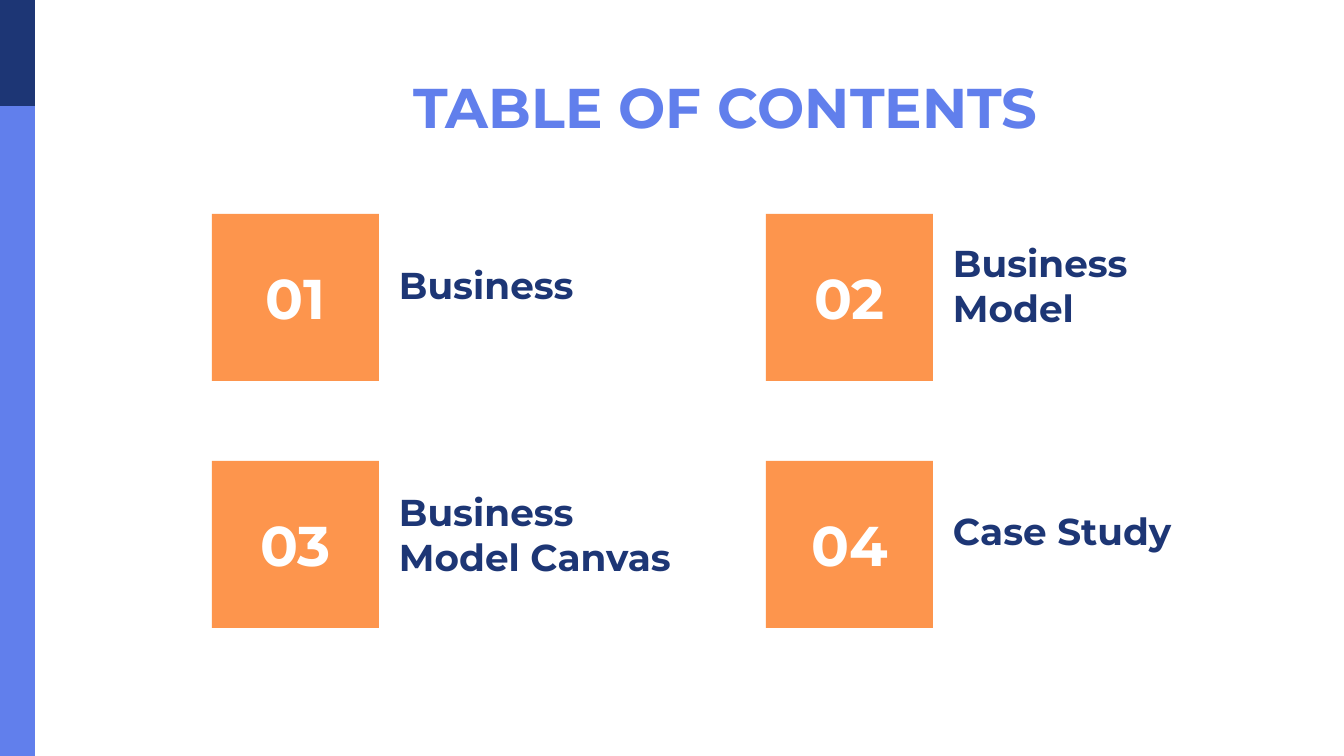
"""Build a table of contents slide with four numbered sections."""
from dataclasses import dataclass

from pptx import Presentation
from pptx.dml.color import RGBColor
from pptx.enum.shapes import MSO_SHAPE
from pptx.enum.text import MSO_ANCHOR, MSO_AUTO_SIZE, PP_ALIGN
from pptx.util import Emu, Pt

RECTANGLE = MSO_SHAPE.RECTANGLE
MIDDLE = MSO_ANCHOR.MIDDLE
NO_AUTOFIT = MSO_AUTO_SIZE.NONE
LEFT, CENTER = PP_ALIGN.LEFT, PP_ALIGN.CENTER
EMU_PER_PX = 914400 / 134.4


@dataclass(frozen=True)
class Theme:
    font: str = "Montserrat"
    blue: RGBColor = RGBColor(0x61, 0x7F, 0xEC)
    navy: RGBColor = RGBColor(0x1D, 0x36, 0x75)
    orange: RGBColor = RGBColor(0xFD, 0x95, 0x4D)
    white: RGBColor = RGBColor(0xFF, 0xFF, 0xFF)
    heading: Pt = Pt(30)
    label: Pt = Pt(20)


THEME = Theme()


def px(length):
    return Emu(round(length * EMU_PER_PX))


def write(holder, wording, size, color, align, bottom_inset=13):
    frame = holder.text_frame
    frame.word_wrap = True
    frame.auto_size = NO_AUTOFIT
    frame.vertical_anchor = MIDDLE
    frame.margin_left = frame.margin_right = frame.margin_top = px(13)
    frame.margin_bottom = px(bottom_inset)
    paragraph = frame.paragraphs[0]
    paragraph.alignment = align
    run = paragraph.add_run()
    run.text = wording
    run.font.name = THEME.font
    run.font.size = size
    run.font.bold = True
    run.font.color.rgb = color


deck = Presentation()
deck.slide_width, deck.slide_height = px(1344), px(756)
slide = deck.slides.add_slide(deck.slide_layouts[5])
shapes = slide.shapes

heading = shapes.title
heading.left, heading.top = px(212), px(79)
heading.width, heading.height = px(1027), px(55)
write(heading, "TABLE OF CONTENTS", THEME.heading, THEME.blue, CENTER)

sections = [
    ("Business", 263, 331),
    ("Business Model", 263, 309),
    ("Business Model Canvas", 512, 309),
    ("Case Study", 509, 309),
]
for index, (section, label_top, label_width) in enumerate(sections):
    row, column = divmod(index, 2)
    tile_left, tile_top = 212 + 554 * column, 214 + 247 * row
    tile = shapes.add_shape(RECTANGLE, px(tile_left), px(tile_top), px(167), px(167))
    tile.shadow.inherit = False
    tile.fill.solid()
    tile.fill.fore_color.rgb = THEME.orange
    tile.line.fill.background()
    write(tile, f"{index + 1:02}", THEME.heading, THEME.white, CENTER)

    label = shapes.add_textbox(px(tile_left + 174), px(label_top), px(label_width), px(63))
    write(label, section, THEME.label, THEME.navy, LEFT, bottom_inset=32)

for band_height, band_color in ((756, THEME.blue), (106, THEME.navy)):
    side_band = shapes.add_shape(RECTANGLE, px(0), px(0), px(35), px(band_height))
    side_band.shadow.inherit = False
    side_band.fill.solid()
    side_band.fill.fore_color.rgb = band_color
    side_band.line.fill.background()

deck.save("out.pptx")
